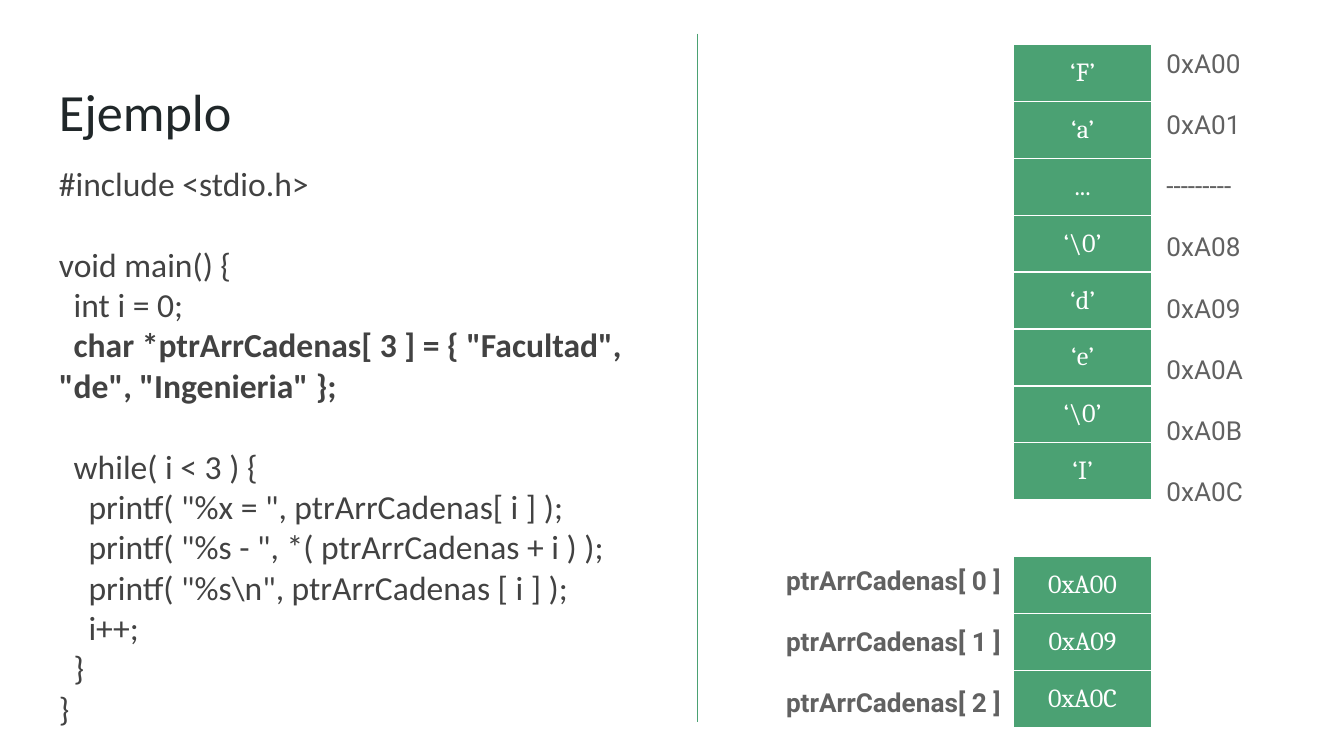
from lxml.etree import SubElement
from pptx import Presentation
from pptx.dml.color import RGBColor
from pptx.enum.shapes import MSO_CONNECTOR
from pptx.enum.text import PP_ALIGN
from pptx.oxml.ns import qn
from pptx.util import Inches, Pt

GREEN = RGBColor(0x4B, 0xA1, 0x73)
WHITE = RGBColor(0xFF, 0xFF, 0xFF)
INK = RGBColor(0x20, 0x27, 0x29)
CODE_GRAY = RGBColor(0x42, 0x42, 0x42)
LABEL_GRAY = RGBColor(0x61, 0x61, 0x61)
MARGIN = Inches(0.1)
ROW_HEIGHT = 0.42


def add_text(page, place, lines, size, font, color, bold=False, gap=0):
    frame = page.shapes.add_textbox(*map(Inches, place)).text_frame
    frame.word_wrap = True
    frame.margin_left = frame.margin_right = MARGIN
    frame.margin_top = frame.margin_bottom = MARGIN
    for index, line in enumerate(lines):
        para = frame.paragraphs[0] if index == 0 else frame.add_paragraph()
        para.text = line
        para.font.size = Pt(size)
        para.font.name = font
        para.font.color.rgb = color
        para.font.bold = bold
        if index:
            para.space_before = Pt(gap)
    return frame.paragraphs


def add_memory_table(page, top, values):
    table = page.shapes.add_table(
        len(values), 1, Inches(7.54), Inches(top),
        Inches(1.03), Inches(ROW_HEIGHT * len(values))).table
    table.first_row = False
    table.horz_banding = False
    for row, value in zip(table.rows, values):
        row.height = Inches(ROW_HEIGHT)
        cell = row.cells[0]
        cell.margin_left = cell.margin_right = cell.margin_top = MARGIN
        cell.margin_bottom = Inches(0.09)
        cell.text = value
        para = cell.text_frame.paragraphs[0]
        para.alignment = PP_ALIGN.CENTER
        para.font.size = Pt(14)
        para.font.name = "Cambria"
        para.font.color.rgb = WHITE
        properties = cell._tc.get_or_add_tcPr()
        for side in ("a:lnL", "a:lnR", "a:lnT", "a:lnB"):
            border = SubElement(properties, qn(side), w=str(Pt(0.75)))
            fill = SubElement(border, qn("a:solidFill"))
            SubElement(fill, qn("a:srgbClr"), val=str(WHITE))
        cell.fill.solid()
        cell.fill.fore_color.rgb = GREEN


deck = Presentation()
deck.slide_width = Inches(10)
deck.slide_height = Inches(10 * 9 / 16)
page = deck.slides.add_slide(deck.slide_layouts[6])

add_text(page, (0.34, 0.49, 4.14, 0.63), ["Ejemplo"], 28, "Calibri", INK)

code = [
    (0, "#include <stdio.h>"),
    (0, "void main() {"),
    (1, "int i = 0;"),
    (1, 'char *ptrArrCadenas[ 3 ] = { "Facultad", "de", "Ingenieria" };'),
    (1, "while( i < 3 ) {"),
    (2, 'printf( "%x = ", ptrArrCadenas[ i ] );'),
    (2, 'printf( "%s - ", *( ptrArrCadenas + i ) );'),
    (2, 'printf( "%s\\n", ptrArrCadenas [ i ] );'),
    (2, "i++;"),
    (1, "}"),
    (0, "}"),
]
paragraphs = add_text(page, (0.34, 1.11, 4.45, 4.39),
                      [line for level, line in code], 18, "Calibri", CODE_GRAY)
for para, (level, line) in zip(paragraphs, code):
    para._p.get_or_add_pPr().set("indent", str(Inches(0.11 * level)))
    para.font.bold = line.startswith("char")
    if line.startswith(("void", "while")):
        para.space_before = Pt(21.8)

divider = page.shapes.add_connector(
    MSO_CONNECTOR.STRAIGHT, Inches(5.19), Inches(0.25), Inches(5.19), Inches(5.37))
divider.line.color.rgb = GREEN
divider.line.width = Pt(0.75)
SubElement(divider._element.spPr, qn("a:effectLst"))
divider._element.remove(divider._element.find(qn("p:style")))

add_memory_table(page, 0.33, ["‘F’", "‘a’", "...", "‘\\0’", "‘d’", "‘e’", "‘\\0’", "‘I’"])
addresses = ["0xA00", "0xA01", "---------", "0xA08", "0xA09", "0xA0A", "0xA0B", "0xA0C"]
add_text(page, (8.58, 0.25, 0.89, 3.59), addresses, 14, "Roboto", LABEL_GRAY, gap=16)

add_memory_table(page, 4.14, ["0xA00", "0xA09", "0xA0C"])
pointers = [f"ptrArrCadenas[ {index} ]" for index in range(3)]
add_text(page, (5.75, 4.1, 1.92, 1.37), pointers, 14, "Roboto", LABEL_GRAY,
         bold=True, gap=16)

deck.save("out.pptx")
